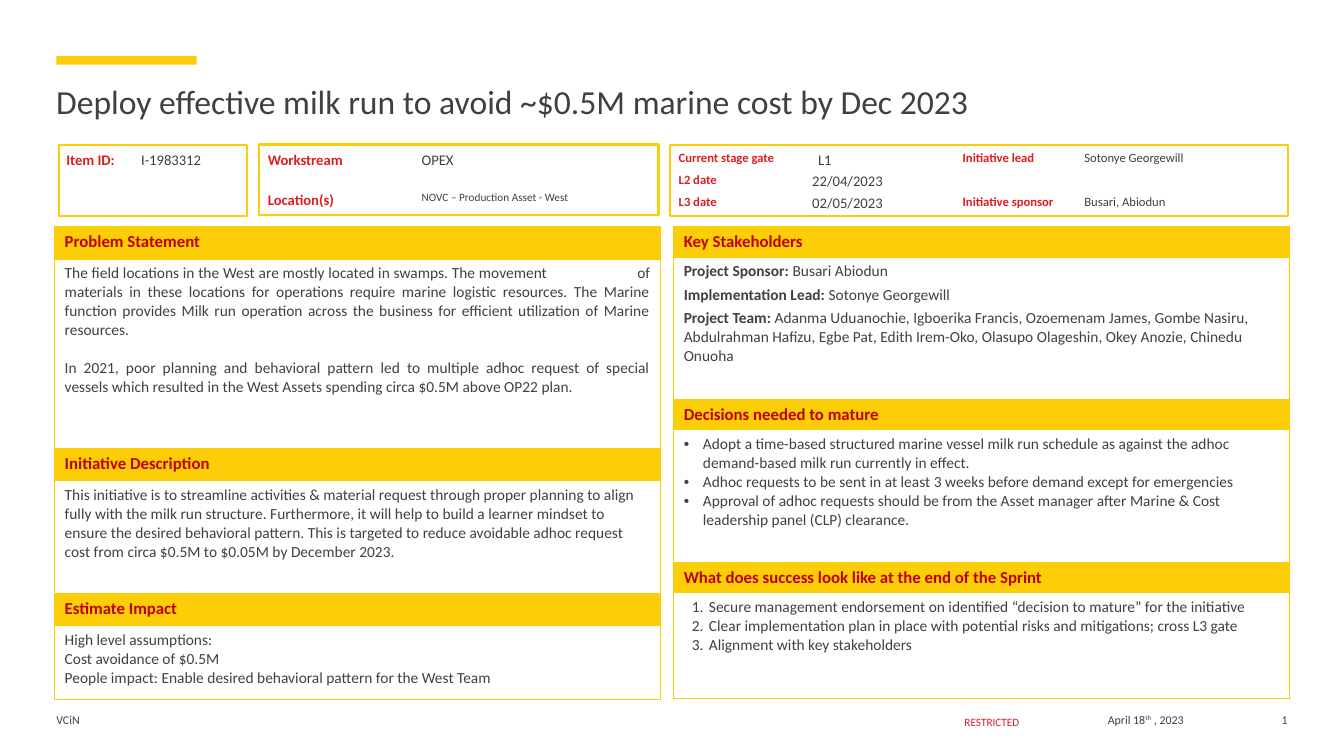
from dataclasses import dataclass
from typing import NamedTuple

from lxml import etree
from pptx import Presentation
from pptx.dml.color import RGBColor
from pptx.enum.shapes import MSO_SHAPE
from pptx.enum.text import MSO_ANCHOR, PP_ALIGN
from pptx.oxml.ns import qn
from pptx.util import Emu, Inches, Pt

RECTANGLE = MSO_SHAPE.RECTANGLE
TOP, MIDDLE = MSO_ANCHOR.TOP, MSO_ANCHOR.MIDDLE
LEFT, CENTER, RIGHT, JUSTIFY = PP_ALIGN.LEFT, PP_ALIGN.CENTER, PP_ALIGN.RIGHT, PP_ALIGN.JUSTIFY

# The slide is a grid of 160 columns and 90 rows of square cells
COLUMNS, ROWS, CELLS_PER_INCH = 160, 90, 12


@dataclass(frozen=True)
class Theme:
    font: str = "Calibri"
    yellow: str = "FBCE07"
    white: str = "FFFFFF"
    ink: str = "404040"
    red: str = "DD1D21"
    heading_red: str = "C00000"
    title: float = 24
    heading: float = 12
    body: float = 11
    field: float = 10.5
    label: float = 9
    footer: float = 8.5
    small: float = 8
    panel_line: float = 1.5
    table_line: float = 1


THEME = Theme()


class Area(NamedTuple):
    column: float
    row: float
    width: float
    height: float


class Span(NamedTuple):
    text: str
    bold: bool = False
    baseline: int = 0


@dataclass(frozen=True)
class Para:
    spans: tuple[Span, ...]
    align: PP_ALIGN = LEFT
    before: float = 0
    bullet: str = ""
    hang: tuple[float, float] = (0, 0)
    tab: float = 0


@dataclass(frozen=True)
class Label:
    text: str
    column: float
    row: float
    width: float
    size: float = THEME.field
    heading: bool = False


@dataclass(frozen=True)
class Section:
    heading: str
    height: float
    paras: tuple[Para, ...]


@dataclass(frozen=True)
class Board:
    column: float
    width: float
    heading_height: float
    sections: tuple[Section, ...]


def cells(count: float) -> Emu:
    return Inches(count / CELLS_PER_INCH)


def plain(text: str, **options) -> Para:
    return Para((Span(text),), **options)


def named(name: str, text: str, before: float = 3) -> Para:
    return Para((Span(name, True), Span(text)), before=before)


def listed(kind: str, hang: tuple[float, float], *texts: str) -> tuple[Para, ...]:
    return tuple(plain(text, bullet=kind, hang=hang) for text in texts)


BULLET_HANG, NUMBER_HANG = (2.28, -2.28), (3, -2.04)

PANELS = (Area(79.8, 17.3, 73.5, 8.4), Area(7, 17.3, 22.4, 8.4), Area(30.8, 17.2, 47.6, 8.4))

FIRST, SECOND, THIRD = 17.9, 20.5, 23.1
LABELS = (
    Label("Item ID:", 7.9, FIRST, 6.2, heading=True),
    Label("I-1983312", 16.8, FIRST, 8),
    Label("Workstream", 31.9, FIRST, 11, heading=True),
    Label("OPEX", 50.2, FIRST, 5.2),
    Label("Location(s)", 31.9, 22.7, 9, heading=True),
    Label("NOVC – Production Asset - West", 50.2, 22.7, 22.2, THEME.small),
    Label("Current stage gate", 80.8, FIRST, 12, THEME.label, True),
    Label("L2 date", 80.8, SECOND, 9.6, THEME.label, True),
    Label("L3 date", 80.8, THIRD, 9.6, THEME.label, True),
    Label("L1", 97.4, FIRST, 13),
    Label("22/04/2023", 96.7, SECOND, 13),
    Label("02/05/2023", 96.7, THIRD, 13),
    Label("Initiative lead", 114.6, FIRST, 14, THEME.label, True),
    Label("Sotonye Georgewill", 129.1, FIRST, 19.2, THEME.label),
    Label("Initiative sponsor", 114.6, THIRD, 14, THEME.label, True),
    Label("Busari, Abiodun", 129.1, THIRD, 19.2, THEME.label),
)

BOARDS = (
    Board(6.5, 72.1, 3.84, (
        Section("Problem Statement", 22.56, (
            plain("The field locations in the West are mostly located in swamps. The movement\tof materials in these locations for operations require marine logistic resources. The Marine function provides Milk run operation across the business for efficient utilization of Marine resources.", align=JUSTIFY, tab=67.8),
            plain("In 2021, poor planning and behavioral pattern led to multiple adhoc request of special vessels which resulted in the West Assets spending circa $0.5M above OP22 plan.", align=JUSTIFY, before=13.5))),
        Section("Initiative Description", 13.44, (
            plain("This initiative is to streamline activities & material request through proper planning to align fully with the milk run structure. Furthermore, it will help to build a learner mindset to ensure the desired behavioral pattern. This is targeted to reduce avoidable adhoc request cost from circa $0.5M to $0.05M by December 2023."),)),
        Section("Estimate Impact", 8.76, (
            plain("High level assumptions:"),
            plain("Cost avoidance of $0.5M"),
            plain("People impact: Enable desired behavioral pattern for the West Team"))),
    )),
    Board(80.2, 73.3, 3.6, (
        Section("Key Stakeholders", 16.92, (
            named("Project Sponsor: ", "Busari Abiodun", 0),
            named("Implementation Lead: ", "Sotonye Georgewill"),
            named("Project Team: ", "Adanma Uduanochie, Igboerika Francis, Ozoemenam James, Gombe Nasiru, Abdulrahman Hafizu, Egbe Pat, Edith Irem-Oko, Olasupo Olageshin, Okey Anozie, Chinedu Onuoha"))),
        Section("Decisions needed to mature", 15.84, listed(
            "dot", BULLET_HANG,
            "Adopt a time-based structured marine vessel milk run schedule as against the adhoc demand-based milk run currently in effect.",
            "Adhoc requests to be sent in at least 3 weeks before demand except for emergencies",
            "Approval of adhoc requests should be from the Asset manager after Marine & Cost leadership panel (CLP) clearance.")),
        Section("What does success look like at the end of the Sprint", 12.6, listed(
            "number", NUMBER_HANG,
            "Secure management endorsement on identified “decision to mature” for the initiative",
            "Clear implementation plan in place with potential risks and mitigations; cross L3 gate",
            "Alignment with key stakeholders")),
    )),
)


def apply(target, values: dict) -> None:
    for name, value in values.items():
        setattr(target, name, value)


def add_marks(properties, para: Para) -> None:
    """Add indent, bullet and tab elements."""
    if para.bullet:
        margin, indent = para.hang
        properties.set("marL", str(cells(margin)))
        properties.set("indent", str(cells(indent)))
    if para.bullet == "dot":
        etree.SubElement(properties, qn("a:buFont"), typeface="Arial")
        etree.SubElement(properties, qn("a:buChar"), char="•")
    elif para.bullet == "number":
        etree.SubElement(properties, qn("a:buAutoNum"), type="arabicPeriod")
    if para.tab:
        stops = etree.SubElement(properties, qn("a:tabLst"))
        etree.SubElement(stops, qn("a:tab"), pos=str(cells(para.tab)), algn="l")


def write(frame, paras: tuple[Para, ...], size: float, color: str) -> None:
    for index, para in enumerate(paras):
        line = frame.paragraphs[0] if index == 0 else frame.add_paragraph()
        add_marks(line._p.get_or_add_pPr(), para)
        apply(line, {"alignment": para.align, "space_before": Pt(para.before)})
        for span in para.spans:
            run = line.add_run()
            run.text = span.text
            apply(run.font, {"name": THEME.font, "size": Pt(size), "bold": span.bold})
            run.font.color.rgb = RGBColor.from_string(color)
            if span.baseline:
                run._r.get_or_add_rPr().set("baseline", str(span.baseline * 1000))


def add_text(page, area: Area, para: Para, size: float, color: str, anchor=TOP) -> None:
    frame = page.shapes.add_textbox(*map(cells, area)).text_frame
    apply(frame, {"margin_left": 0, "margin_right": 0, "margin_top": 0, "margin_bottom": 0,
                  "word_wrap": False, "vertical_anchor": anchor})
    write(frame, (para,), size, color)


def add_box(page, area: Area, fill: str, outlined: bool) -> None:
    box = page.shapes.add_shape(RECTANGLE, *map(cells, area))
    box.shadow.inherit = False
    box.fill.solid()
    box.fill.fore_color.rgb = RGBColor.from_string(fill)
    if outlined:
        box.line.color.rgb = RGBColor.from_string(THEME.yellow)
        box.line.width = Pt(THEME.panel_line)
    else:
        box.line.fill.background()


def add_borders(cell) -> None:
    properties = cell._tc.get_or_add_tcPr()
    for position, side in enumerate(("lnL", "lnR", "lnT", "lnB")):
        border = etree.Element(qn(f"a:{side}"), w=str(Pt(THEME.table_line)))
        fill = etree.SubElement(border, qn("a:solidFill"))
        etree.SubElement(fill, qn("a:srgbClr"), val=THEME.yellow)
        properties.insert(position, border)


def add_board(page, board: Board) -> None:
    heights = [height for part in board.sections for height in (board.heading_height, part.height)]
    area = Area(board.column, 27, board.width, sum(heights))
    table = page.shapes.add_table(len(heights), 1, *map(cells, area)).table
    apply(table, {"first_row": False, "horz_banding": False})
    for row, height in zip(table.rows, heights):
        row.height = cells(height)
    for index, part in enumerate(board.sections):
        heading, body = table.cell(2 * index, 0), table.cell(2 * index + 1, 0)
        heading.fill.solid()
        heading.fill.fore_color.rgb = RGBColor.from_string(THEME.yellow)
        body.fill.background()
        write(heading.text_frame, (Para((Span(part.heading, True),)),), THEME.heading, THEME.heading_red)
        write(body.text_frame, part.paras, THEME.body, THEME.ink)
        for cell in (heading, body):
            add_borders(cell)


def main() -> None:
    deck = Presentation()
    apply(deck, {"slide_width": cells(COLUMNS), "slide_height": cells(ROWS)})
    page = deck.slides.add_slide(deck.slide_layouts[6])

    # Accent bar and title
    add_box(page, Area(6.7, 6.7, 16.7, 1), THEME.yellow, False)
    title = plain("Deploy effective milk run to avoid ~$0.5M marine cost by Dec 2023")
    add_text(page, Area(6.7, 9.35, 146.6, 5.3), title, THEME.title, THEME.ink, MIDDLE)

    # Section boards
    for board in BOARDS:
        add_board(page, board)

    # Initiative details
    for panel in PANELS:
        add_box(page, panel, THEME.white, True)
    for label in LABELS:
        para = Para((Span(label.text, label.heading),))
        color = THEME.red if label.heading else THEME.ink
        add_text(page, Area(label.column, label.row, label.width, 2), para, label.size, color)

    # Footer
    date = Para((Span("April 18"), Span("th", baseline=30), Span(" , 2023")), CENTER)
    add_text(page, Area(6.7, 84.8, 44, 3.1), plain("VCiN"), THEME.footer, THEME.ink)
    add_text(page, Area(111, 85.1, 14.2, 2.3), plain("RESTRICTED", align=CENTER), THEME.small, THEME.red)
    add_text(page, Area(127, 84.8, 18.8, 3.1), date, THEME.footer, THEME.ink)
    add_text(page, Area(148.6, 84.8, 4.7, 3.1), plain("1", align=RIGHT), THEME.footer, THEME.ink)

    deck.save("out.pptx")


if __name__ == "__main__":
    main()
